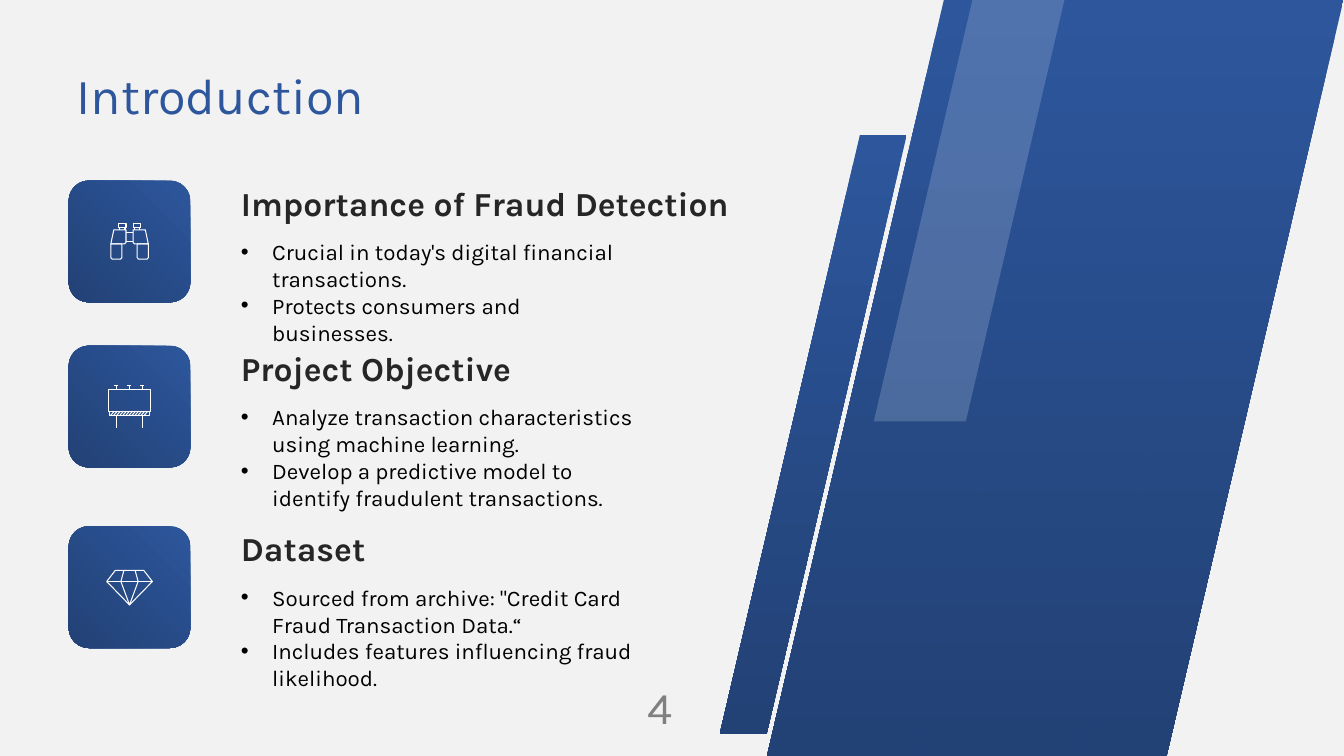
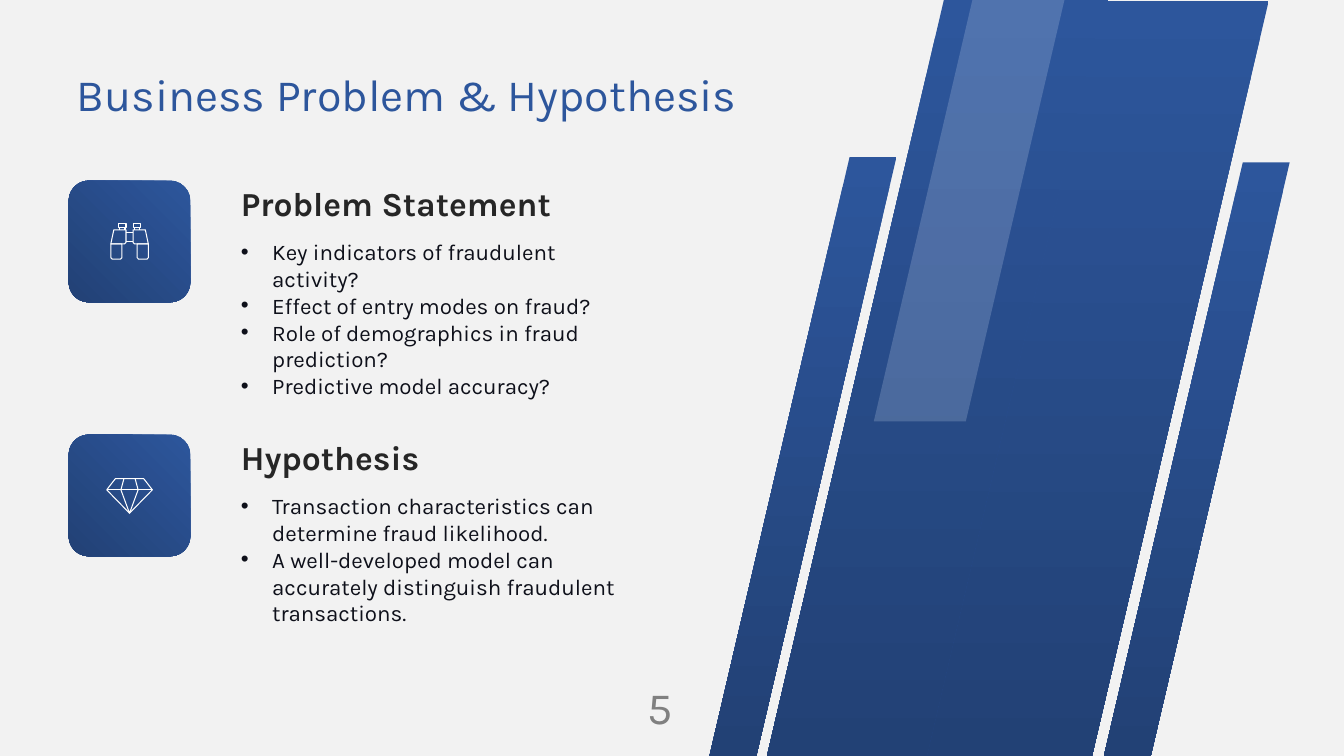
from copy import deepcopy

from lxml import etree
from pptx import Presentation
from pptx.dml.color import RGBColor
from pptx.enum.shapes import MSO_SHAPE
from pptx.enum.text import MSO_ANCHOR, MSO_AUTO_SIZE, PP_ALIGN
from pptx.oxml.ns import qn
from pptx.util import Cm, Pt

PARALLELOGRAM = MSO_SHAPE.PARALLELOGRAM
ROUNDED = MSO_SHAPE.ROUNDED_RECTANGLE
MIDDLE, TOP = MSO_ANCHOR.MIDDLE, MSO_ANCHOR.TOP
LEFT, RIGHT = PP_ALIGN.LEFT, PP_ALIGN.RIGHT
FIXED_SIZE = MSO_AUTO_SIZE.NONE

FONT = "Karla"
BACKGROUND = "F2F2F2"
BLUE, NAVY, PALE = "2D569C", "224175", "CFDCF1"
WHITE, GREY, HEADING, BLACK, INK = "FFFFFF", "808080", "262626", "000000", "0E101A"

COMPARISON_LAYOUT = 4
PAIRS = [(1, 2), (3, 4), (13, 14)]
TILE = 3.07
ICON_GRID = 240
SECTION_LEFT = 1.73
SLANT = 0.234
WIDE, NARROW, STRIPE = 4.15, 1.18, 2.32
SLIDE_HEIGHT = 19.05
DOWN, DOWN_LEFT = 270, 225


def binoculars():
    half = [
        ([(89, 97), (113, 97), (113, 122), (110, 125), (83, 125)], True),
        ([(83, 125), (105, 125), (105, 152), (102, 155), (86, 155), (83, 152)], True),
        ([(99, 85), (113, 85), (113, 93), (99, 93)], True),
        ([(101, 93), (101, 97)], False),
        ([(111, 93), (111, 97)], False),
    ]
    mirrored = [([(ICON_GRID - x, y) for x, y in points], closed) for points, closed in half]
    bridge = [([(113, 103), (127, 103)], False), ([(113, 121), (127, 121)], False)]
    return half + mirrored + bridge


def billboard():
    strokes = [
        ([(79, 87), (161, 87), (161, 129), (79, 129)], True),
        ([(81, 129), (159, 129), (159, 137), (81, 137)], True),
    ]
    for x in (94, 119, 145):
        strokes += [([(x - 4, 79), (x + 4, 79)], False), ([(x, 79), (x, 87)], False)]
    strokes += [([(x, 137), (x, 162)], False) for x in (94, 145)]
    strokes += [([(x, 137), (x + 7, 129)], False) for x in range(83, 153, 6)]
    return strokes


def diamond():
    return [
        ([(92, 87), (148, 87), (165, 109), (120, 155), (75, 109)], True),
        ([(75, 109), (165, 109)], False),
        ([(109, 87), (103, 109), (120, 155), (137, 109), (131, 87)], False),
    ]


def colour(value):
    return RGBColor.from_string(value)


def place(shape, left, top, width, height):
    shape.left, shape.top = Cm(left), Cm(top)
    shape.width, shape.height = Cm(width), Cm(height)


def write(shape, lines, size, tint, bold=False, anchor=MIDDLE, alignment=LEFT):
    frame = shape.text_frame
    frame.text = "\n".join(lines)
    frame.word_wrap = True
    frame.auto_size = FIXED_SIZE
    frame.vertical_anchor = anchor
    frame.margin_left = frame.margin_right = frame.margin_top = frame.margin_bottom = 0
    for paragraph in frame.paragraphs:
        paragraph.alignment = alignment
        paragraph.space_before = Pt(0)
        paragraph.line_spacing = 1.0
        font = paragraph.font
        font.name, font.size, font.bold = FONT, Pt(size), bold
        font.color.rgb = colour(tint)


def fill_gradient(shape, angle):
    shape.fill.gradient()
    shape.fill.gradient_angle = angle
    for stop, tint in zip(shape.fill.gradient_stops, (BLUE, NAVY)):
        stop.color.rgb = colour(tint)
    shape.line.fill.background()
    shape.shadow.inherit = False


def add_band(slide, left, top, thickness, height):
    width = thickness + SLANT * height
    shape = slide.shapes.add_shape(PARALLELOGRAM, Cm(left), Cm(top), Cm(width), Cm(height))
    shape.adjustments[0] = SLANT * height / min(width, height)
    fill_gradient(shape, DOWN)
    return shape


def add_stripe(slide, left, top, height):
    stripe = add_band(slide, left, top, STRIPE, height)
    stripe.fill.solid()
    stripe.fill.fore_color.rgb = colour(PALE)
    tint = stripe.element.spPr.find(qn("a:solidFill")).find(qn("a:srgbClr"))
    etree.SubElement(tint, qn("a:alpha")).set("val", "22000")


def add_icon(slide, strokes, left, top):
    start = strokes[0][0][0]
    builder = slide.shapes.build_freeform(*start, scale=Cm(TILE) / ICON_GRID)
    for points, closed in strokes:
        builder.move_to(*points[0])
        builder.add_line_segments(points[1:], close=closed)
    icon = builder.convert_to_shape(Cm(left), Cm(top))
    icon.fill.background()
    icon.line.color.rgb = colour(WHITE)
    icon.line.width = Pt(0.75)
    icon.shadow.inherit = False


def add_section(slide, pair, left, top, icon, heading, items, tint):
    tile = slide.shapes.add_shape(ROUNDED, Cm(left), Cm(top), Cm(TILE), Cm(TILE))
    fill_gradient(tile, DOWN_LEFT)
    add_icon(slide, icon(), left, top)

    heading_box, list_box = (slide.placeholders[index] for index in pair)
    place(heading_box, left + 4.34, top + 0.05, 12.85, 1.02)
    write(heading_box, [heading], 24, HEADING, bold=True)
    place(list_box, left + 4.34, top + 1.45, 9.88, 1.55)
    write(list_box, items, 16, tint, anchor=TOP)
    for paragraph in list_box.text_frame.paragraphs:
        properties = paragraph._p.get_or_add_pPr()
        properties.set("marL", str(Cm(0.79)))
        properties.set("indent", str(-Cm(0.79)))


def add_content_slide(presentation, number, title, title_size, sections, tint, bands):
    slide = presentation.slides.add_slide(presentation.slide_layouts[COMPARISON_LAYOUT])
    place(slide.shapes.title, 1.93, 1.73, 20.68, 1.27)
    write(slide.shapes.title, [title], title_size, BLUE)

    for pair, (top, icon, heading, items) in zip(PAIRS, sections):
        add_section(slide, pair, SECTION_LEFT, top, icon, heading, items, tint)
    for pair in PAIRS[len(sections):]:
        for index in pair:
            element = slide.placeholders[index].element
            element.getparent().remove(element)

    number_box = slide.shapes.add_textbox(Cm(15.16), Cm(17.3), Cm(1.8), Cm(1.02))
    write(number_box, [str(number)], 32, GREY, alignment=RIGHT)

    add_band(slide, 19.33, 0, WIDE, SLIDE_HEIGHT)
    add_stripe(slide, 22.02, 0, 10.62)
    for band in bands:
        add_band(slide, *band)


def prepare_template(presentation):
    presentation.slide_width, presentation.slide_height = Cm(33.87), Cm(SLIDE_HEIGHT)
    fill = presentation.slide_master.background.fill
    fill.solid()
    fill.fore_color.rgb = colour(BACKGROUND)

    layout = presentation.slide_layouts[COMPARISON_LAYOUT]
    sources = {shape.placeholder_format.idx: shape for shape in layout.placeholders}
    for source_index, new_index in zip(PAIRS[0], PAIRS[2]):
        source = sources[source_index].element
        extra = deepcopy(source)
        extra.find(".//" + qn("p:ph")).set("idx", str(new_index))
        extra.find(".//" + qn("p:cNvPr")).set("id", str(100 + new_index))
        source.getparent().append(extra)


def main():
    presentation = Presentation()
    prepare_template(presentation)
    add_content_slide(
        presentation, 4, "Introduction", 36,
        [
            (4.55, binoculars, "Importance of Fraud Detection", [
                "Crucial in today's digital financial transactions.",
                "Protects consumers and businesses.",
            ]),
            (8.71, billboard, "Project Objective", [
                "Analyze transaction characteristics using machine learning.",
                "Develop a predictive model to identify fraudulent transactions.",
            ]),
            (13.26, diamond, "Dataset", [
                'Sourced from archive: "Credit Card Fraud Transaction Data.“',
                "Includes features influencing fraud likelihood.",
            ]),
        ],
        BLACK,
        [
            (25.25, 0, WIDE, SLIDE_HEIGHT),
            (18.14, 3.4, NARROW, 15.09),
            (23.09, 0, WIDE, SLIDE_HEIGHT),
        ],
    )
    add_content_slide(
        presentation, 5, "Business Problem & Hypothesis", 32,
        [
            (4.55, binoculars, "Problem Statement", [
                "Key indicators of fraudulent activity?",
                "Effect of entry modes on fraud?",
                "Role of demographics in fraud prediction?",
                "Predictive model accuracy?",
            ]),
            (10.95, diamond, "Hypothesis", [
                "Transaction characteristics can determine fraud likelihood.",
                "A well-developed model can accurately distinguish fraudulent transactions.",
            ]),
        ],
        INK,
        [
            (17.88, 3.96, NARROW, 15.09),
            (23.37, 0.03, WIDE, 19.02),
            (27.82, 4.09, NARROW, 14.96),
        ],
    )
    presentation.save("out.pptx")


if __name__ == "__main__":
    main()
